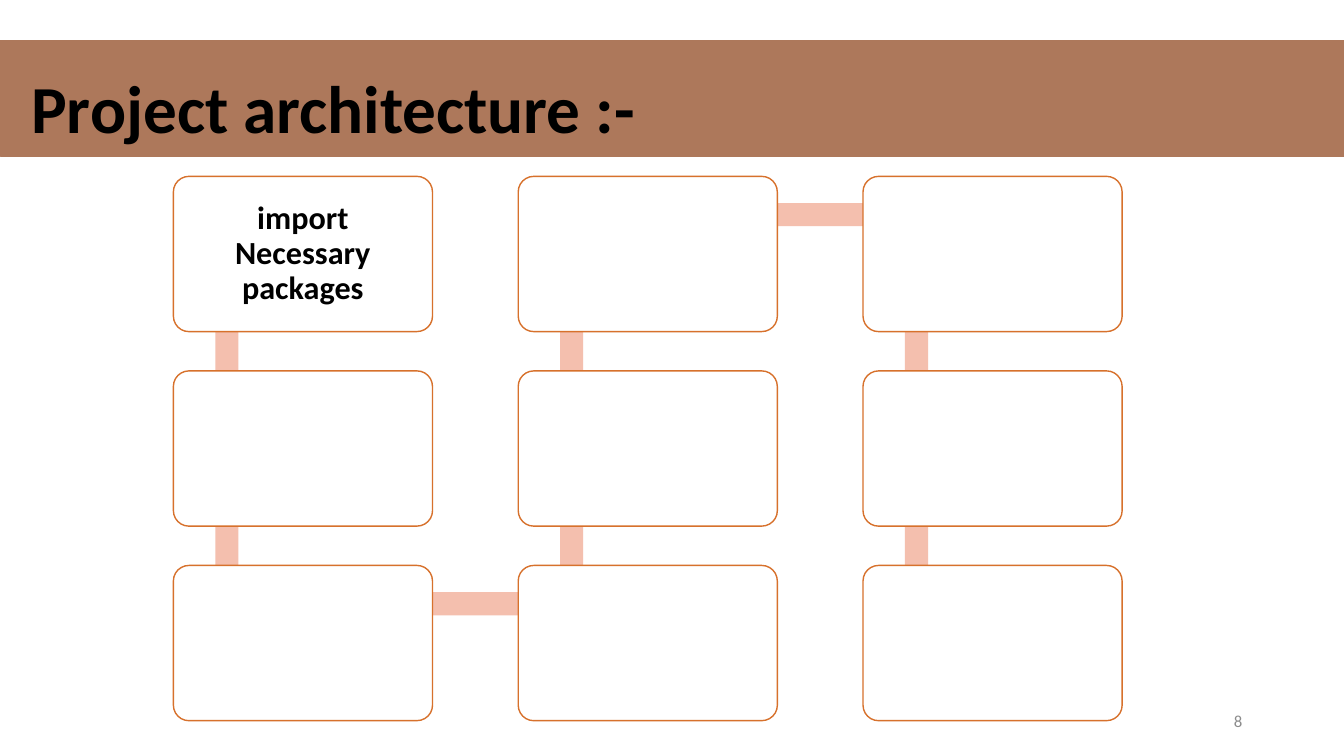
from dataclasses import dataclass
from itertools import zip_longest
from math import atan2, degrees, hypot

from pptx import Presentation
from pptx.dml.color import RGBColor
from pptx.enum.shapes import MSO_SHAPE
from pptx.enum.text import MSO_ANCHOR, PP_ALIGN
from pptx.shapes.autoshape import Shape
from pptx.slide import Slide
from pptx.util import Inches, Pt

BROWN = RGBColor(0xAD, 0x78, 0x5B)
ORANGE = RGBColor(0xD7, 0x71, 0x2C)
PEACH = RGBColor(0xF4, 0xBF, 0xAE)
BLACK = RGBColor(0, 0, 0)
GRAY = RGBColor(0x8C, 0x8C, 0x8C)
WHITE = RGBColor(255, 255, 255)

GRID_LEFT, GRID_TOP = 1.72, 1.75
COL_PITCH, ROW_PITCH = 3.42, 1.93
BOX_W, BOX_H = 2.57, 1.54
BAR_THICKNESS = 0.23
BAR_DX, BAR_DY = 0.53, 0.38  # where a bar starts inside its box


@dataclass(frozen=True)
class Step:
    col: int
    row: int
    text: str = ""

    @property
    def left(self) -> float:
        return GRID_LEFT + self.col * COL_PITCH

    @property
    def top(self) -> float:
        return GRID_TOP + self.row * ROW_PITCH


# The path winds down, up and down again through the columns.
STEPS = [
    Step(0, 0, "import Necessary packages"), Step(0, 1), Step(0, 2),
    Step(1, 2), Step(1, 1), Step(1, 0),
    Step(2, 0), Step(2, 1), Step(2, 2),
]


def set_text(sp: Shape, text: str, size: float, color: RGBColor, bold: bool,
             align: PP_ALIGN, spacing: float, frame: dict) -> None:
    tf = sp.text_frame
    frame = {"word_wrap": True, "vertical_anchor": MSO_ANCHOR.MIDDLE} | frame
    for name, value in frame.items():
        setattr(tf, name, value)
    p = tf.paragraphs[0]
    p.alignment, p.line_spacing = align, spacing
    r = p.add_run()
    r.text = text
    for name, value in {"name": "Calibri", "size": Pt(size), "bold": bold}.items():
        setattr(r.font, name, value)
    r.font.color.rgb = color


def add_title(s: Slide) -> None:
    sp = s.shapes.title
    place = {"left": 0, "top": 0.4, "width": 13.33, "height": 1.15}
    for name, value in place.items():
        setattr(sp, name, Inches(value))
    sp.fill.solid()
    sp.fill.fore_color.rgb = BROWN
    sp.line.color.rgb = BROWN
    sp.line.width = Pt(0.5)
    set_text(sp, "Project architecture :-", 48, BLACK, True, PP_ALIGN.LEFT, 0.9,
             {"margin_left": Inches(0.31), "margin_top": Inches(0.31)})


def add_bar(s: Slide, start: Step, end: Step) -> None:
    dx, dy = end.left - start.left, end.top - start.top
    length = hypot(dx, dy)
    center_x = start.left + BAR_DX + dx / 2
    center_y = start.top + BAR_DY + dy / 2
    sp = s.shapes.add_shape(
        MSO_SHAPE.RECTANGLE, Inches(center_x - length / 2),
        Inches(center_y - BAR_THICKNESS / 2), Inches(length), Inches(BAR_THICKNESS))
    sp.rotation = degrees(atan2(dy, dx)) % 360
    sp.shadow.inherit = False
    sp.fill.solid()
    sp.fill.fore_color.rgb = PEACH
    sp.line.fill.background()


def add_box(s: Slide, step: Step) -> None:
    sp = s.shapes.add_shape(MSO_SHAPE.ROUNDED_RECTANGLE, Inches(step.left),
                            Inches(step.top), Inches(BOX_W), Inches(BOX_H))
    sp.adjustments[0] = 0.1
    sp.shadow.inherit = False
    sp.fill.solid()
    sp.fill.fore_color.rgb = WHITE
    sp.line.color.rgb = ORANGE
    sp.line.width = Pt(1)
    if step.text:
        set_text(sp, step.text, 23, BLACK, True, PP_ALIGN.CENTER, 0.9,
                 {"margin_left": Inches(0.2), "margin_right": Inches(0.2)})


def add_slide_number(s: Slide, number: int) -> None:
    sp = s.shapes.add_textbox(Inches(9.42), Inches(6.95), Inches(3), Inches(0.4))
    set_text(sp, str(number), 12, GRAY, False, PP_ALIGN.RIGHT, 1.0, {})


def main() -> None:
    prs = Presentation()
    prs.slide_width, prs.slide_height = Inches(13.33), Inches(7.5)
    s = prs.slides.add_slide(prs.slide_layouts[5])
    add_title(s)
    add_slide_number(s, 8)
    for step, following in zip_longest(STEPS, STEPS[1:]):
        if following:
            add_bar(s, step, following)
        add_box(s, step)
    prs.save("out.pptx")


if __name__ == "__main__":
    main()
